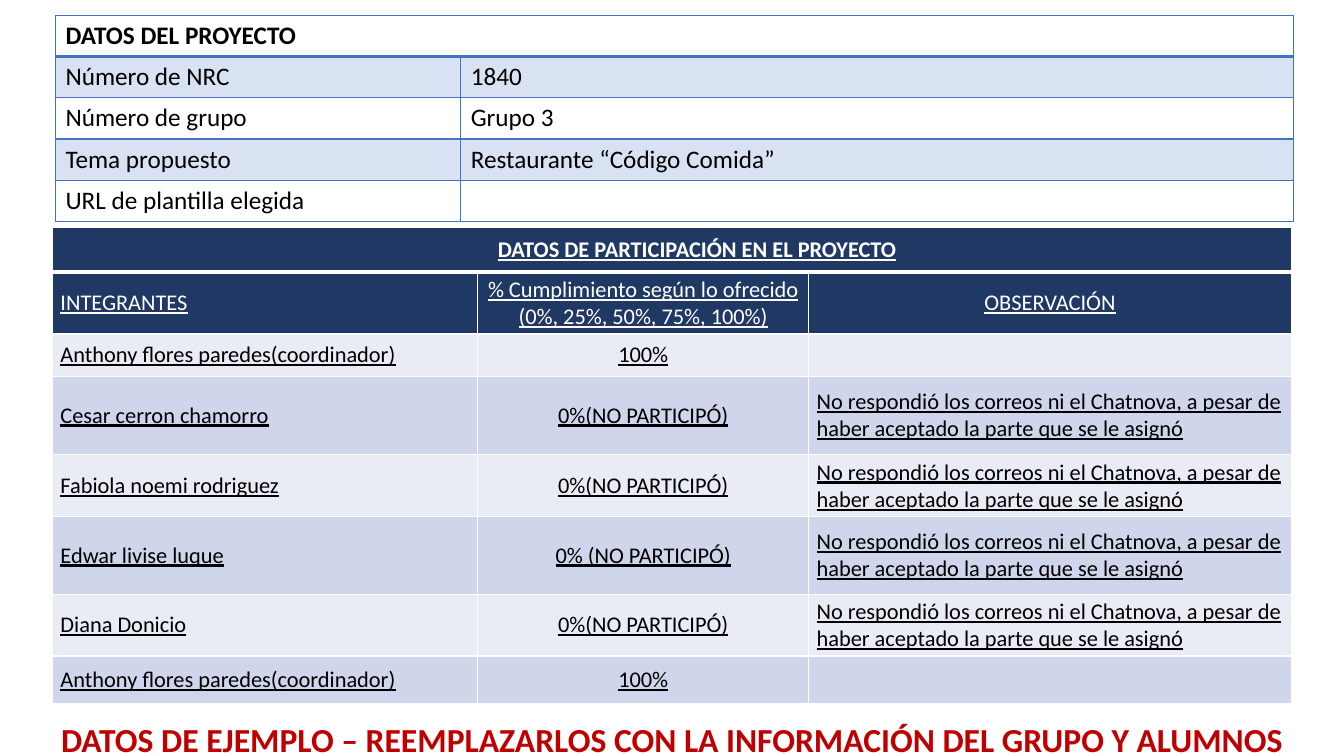
from dataclasses import dataclass
from typing import Optional

from lxml import etree
from pptx import Presentation
from pptx.dml.color import RGBColor
from pptx.enum.text import MSO_ANCHOR, MSO_AUTO_SIZE, PP_ALIGN
from pptx.oxml.ns import qn
from pptx.slide import Slide
from pptx.table import Table, _Cell as Cell
from pptx.text.text import _Paragraph as Paragraph
from pptx.util import Inches, Pt

FONT = "Calibri"
BLACK = RGBColor(0x00, 0x00, 0x00)
WHITE = RGBColor(0xFF, 0xFF, 0xFF)
BLUE = RGBColor(0x44, 0x72, 0xC4)
NAVY = RGBColor(0x20, 0x38, 0x64)
PALE = RGBColor(0xE9, 0xEB, 0xF5)
LAVENDER = RGBColor(0xCF, 0xD5, 0xEA)
RED = RGBColor(0xC0, 0x00, 0x00)

NO_REPLY = ("No respondió los correos ni el Chatnova, a pesar de haber "
            "aceptado la parte que se le asignó")
PROJECT_ROWS = [
    ("DATOS DEL PROYECTO", ""),
    ("Número de NRC", "1840"),
    ("Número de grupo", "Grupo 3"),
    ("Tema propuesto", "Restaurante “Código Comida”"),
    ("URL de plantilla elegida", ""),
]
PARTICIPATION_ROWS = [
    ("DATOS DE PARTICIPACIÓN EN EL PROYECTO", "", ""),
    ("INTEGRANTES", "% Cumplimiento según lo ofrecido (0%, 25%, 50%, 75%, 100%)",
     "OBSERVACIÓN"),
    ("Anthony flores paredes(coordinador)", "100%", ""),
    ("Cesar cerron chamorro", "0%(NO PARTICIPÓ)", NO_REPLY),
    ("Fabiola noemi rodriguez", "0%(NO PARTICIPÓ)", NO_REPLY),
    ("Edwar livise luque", "0% (NO PARTICIPÓ)", NO_REPLY),
    ("Diana Donicio", "0%(NO PARTICIPÓ)", NO_REPLY),
    ("Anthony flores paredes(coordinador)", "100%", ""),
]


@dataclass(frozen=True)
class TableLayout:
    left: float
    top: float
    height: float
    columns: list[float]
    rows: list[float]
    border: RGBColor
    title_rule: float  # points, under the merged title row


@dataclass(frozen=True)
class TextStyle:
    size: float
    color: RGBColor = BLACK
    bold: bool = False
    underline: bool = False
    align: Optional[PP_ALIGN] = None


PROJECT = TableLayout(0.55, 0.15, 2.03, [4.02, 8.26], [0.41] * 5, BLUE, 2)
PARTICIPATION = TableLayout(0.52, 2.26, 4.73, [4.22, 3.28, 4.79],
                            [0.44, 0.57, 0.42, 0.78, 0.42, 0.77, 0.42, 0.47],
                            WHITE, 3)


def write(paragraph: Paragraph, text: str, style: TextStyle) -> None:
    paragraph.text = text
    paragraph.alignment = style.align
    font = paragraph.font
    font.name = FONT
    font.size = Pt(style.size)
    font.bold = style.bold
    font.underline = style.underline
    font.color.rgb = style.color


def set_borders(cell: Cell, color: RGBColor, top: float, bottom: float) -> None:
    properties = cell._tc.get_or_add_tcPr()
    widths = {"a:lnL": 1, "a:lnR": 1, "a:lnT": top, "a:lnB": bottom}
    for position, (tag, width) in enumerate(widths.items()):
        line = etree.Element(qn(tag), w=str(Pt(width)))
        fill = etree.SubElement(line, qn("a:solidFill"))
        etree.SubElement(fill, qn("a:srgbClr"), val=str(color))
        properties.insert(position, line)


def set_fill(cell: Cell, color: RGBColor, opacity: int = 100) -> None:
    """Fill a cell; opacity is a percentage."""
    cell.fill.solid()
    cell.fill.fore_color.rgb = color
    if opacity < 100:
        color_element = cell._tc.tcPr.find(".//" + qn("a:solidFill") + "[last()]")
        color_element = cell._tc.tcPr.find(qn("a:solidFill")).find(qn("a:srgbClr"))
        etree.SubElement(color_element, qn("a:alpha"), val=str(opacity * 1000))


def add_bordered_table(slide: Slide, layout: TableLayout) -> Table:
    """Add an unfilled table whose first row is one merged title cell."""
    frame = slide.shapes.add_table(
        len(layout.rows), len(layout.columns), Inches(layout.left),
        Inches(layout.top), Inches(sum(layout.columns)), Inches(layout.height))
    table = frame.table
    table.first_row = table.horz_banding = False
    for column, width in zip(table.columns, layout.columns):
        column.width = Inches(width)
    for row, height in zip(table.rows, layout.rows):
        row.height = Inches(height)
    frame.height = Inches(layout.height)
    for index, row in enumerate(table.rows):
        for cell in row.cells:
            cell.fill.background()
            set_borders(cell, layout.border,
                        top=layout.title_rule if index == 1 else 1,
                        bottom=layout.title_rule if index == 0 else 1)
    table.cell(0, 0).merge(table.cell(0, len(layout.columns) - 1))
    return table


def add_project_table(slide: Slide) -> None:
    table = add_bordered_table(slide, PROJECT)
    for row, texts in enumerate(PROJECT_ROWS):
        for column, text in enumerate(texts):
            cell = table.cell(row, column)
            if row % 2:
                set_fill(cell, BLUE, opacity=20)
            if text:
                write(cell.text_frame.paragraphs[0], text,
                      TextStyle(18, bold=row == 0))


def add_participation_table(slide: Slide) -> None:
    table = add_bordered_table(slide, PARTICIPATION)
    for row, texts in enumerate(PARTICIPATION_ROWS):
        heading = row < 2
        for column, text in enumerate(texts):
            cell = table.cell(row, column)
            set_fill(cell, NAVY if heading else LAVENDER if row % 2 else PALE)
            if not text:
                continue
            cell.vertical_anchor = MSO_ANCHOR.MIDDLE
            cell.margin_left = cell.margin_right = Inches(0.08)
            cell.margin_top = cell.margin_bottom = Inches(0.04)
            centered = row == 0 or column == 1 or (heading and column == 2)
            write(cell.text_frame.paragraphs[0], text,
                  TextStyle(16, WHITE if heading else BLACK, bold=row == 0,
                            underline=True,
                            align=PP_ALIGN.CENTER if centered else None))
    title = table.cell(0, 0).text_frame.paragraphs[0]
    title.level = 1
    title_properties = title._p.get_or_add_pPr()
    title_properties.set("marL", str(Inches(0.5)))
    title_properties.set("indent", "0")


def add_notice(slide: Slide) -> None:
    box = slide.shapes.add_textbox(0, Inches(7.08), Inches(13.33), Inches(0.5))
    frame = box.text_frame
    frame.word_wrap = True
    frame.auto_size = MSO_AUTO_SIZE.SHAPE_TO_FIT_TEXT
    write(frame.paragraphs[0],
          "DATOS DE EJEMPLO – REEMPLAZARLOS CON LA INFORMACIÓN DEL GRUPO Y ALUMNOS",
          TextStyle(24, RED, bold=True, align=PP_ALIGN.CENTER))


def main() -> None:
    presentation = Presentation()
    presentation.slide_width = Inches(13.33)
    presentation.slide_height = Inches(7.5)
    slide = presentation.slides.add_slide(presentation.slide_layouts[6])
    add_project_table(slide)
    add_notice(slide)
    add_participation_table(slide)
    presentation.save("out.pptx")


if __name__ == "__main__":
    main()
